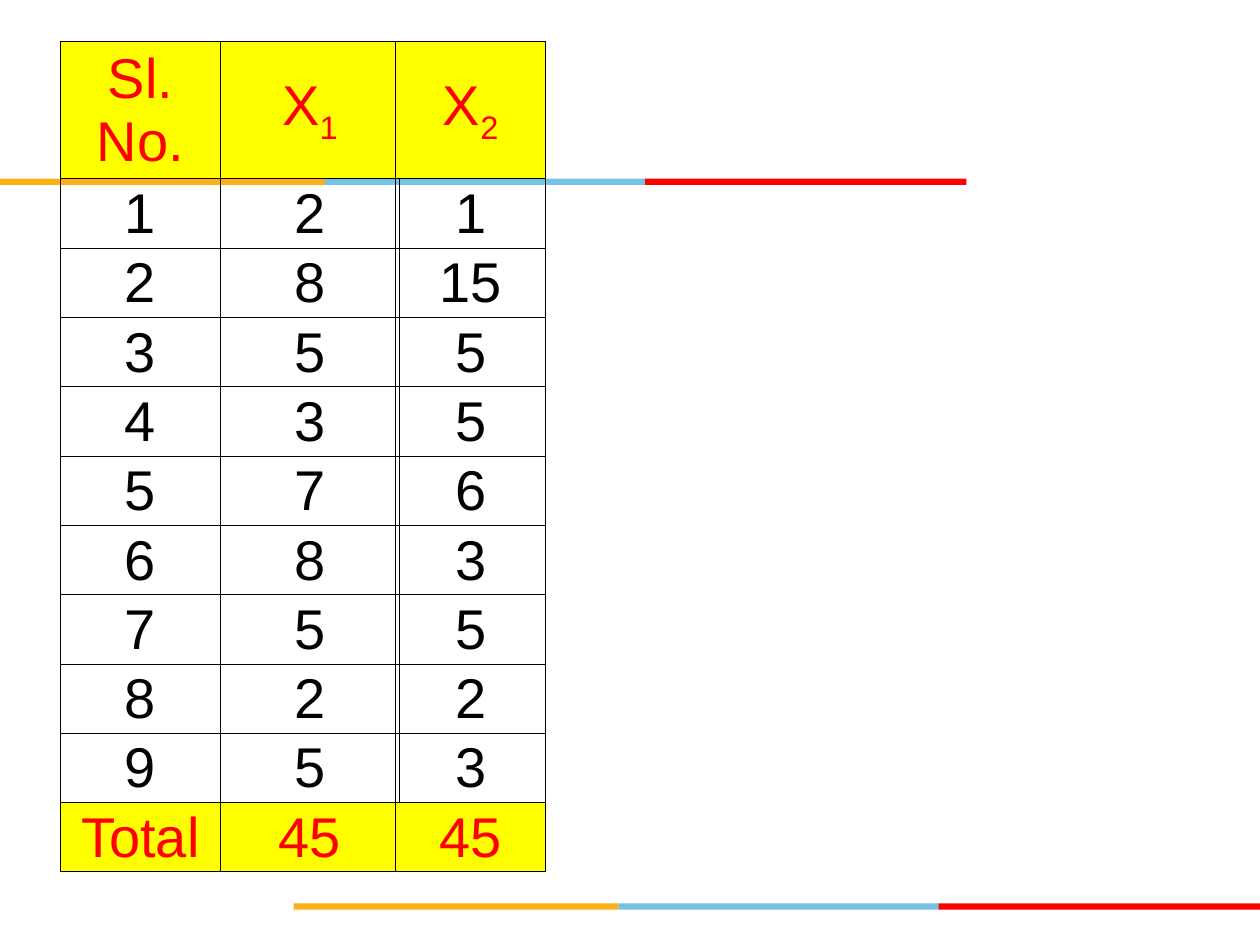
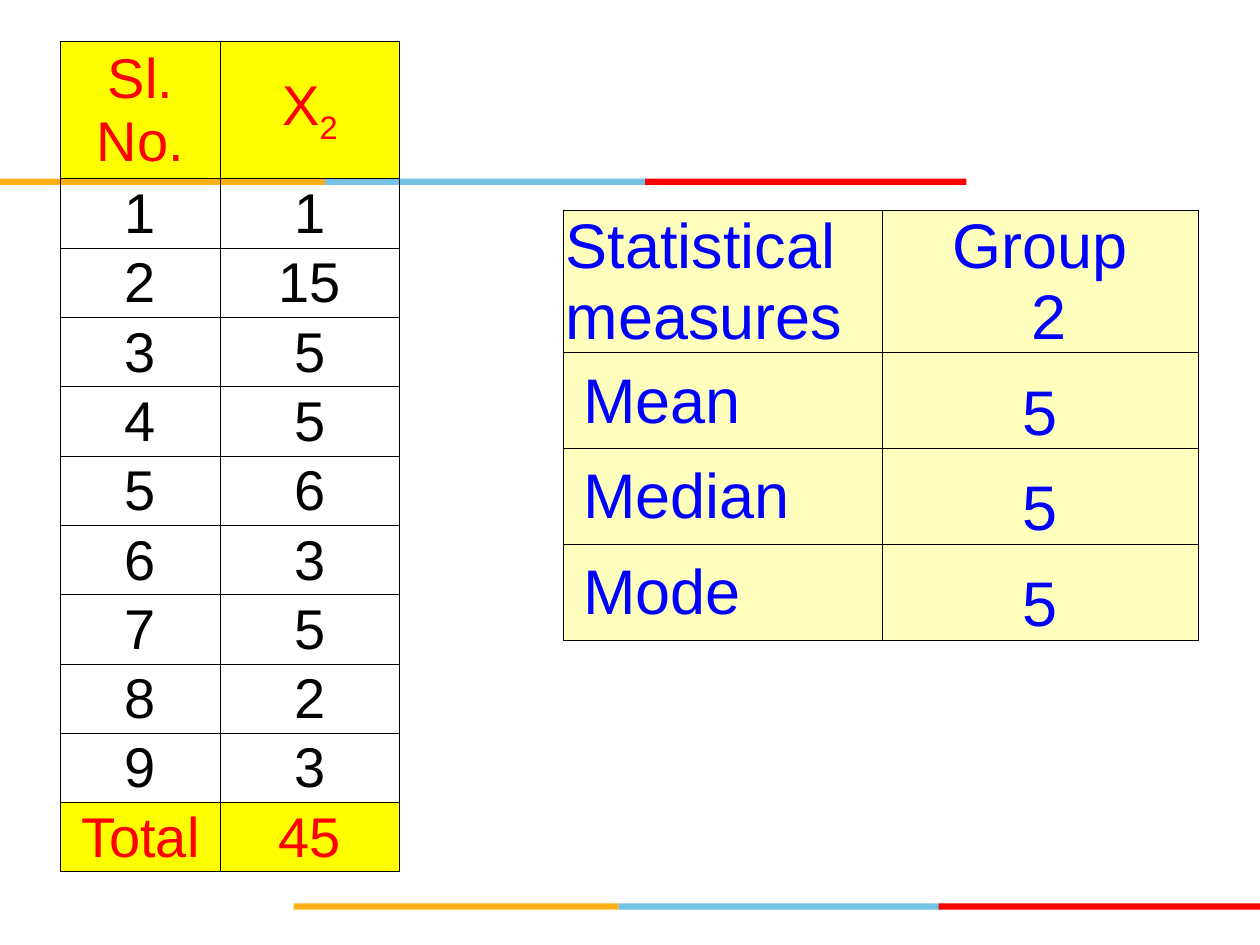
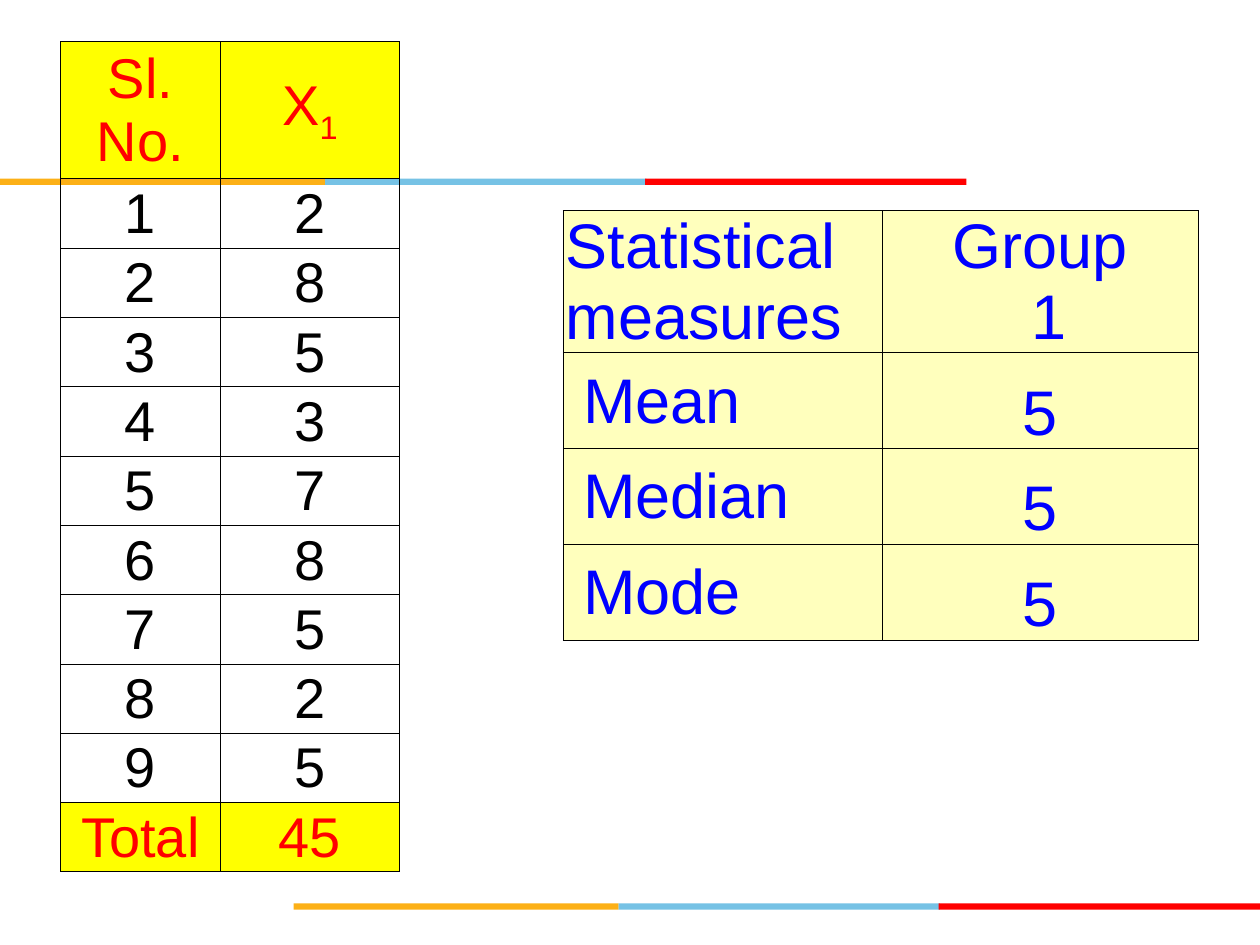
"""Builds three slides that compare two groups of values and their averages."""
from dataclasses import dataclass
from typing import Any

from lxml.etree import SubElement
from pptx import Presentation
from pptx.dml.color import RGBColor
from pptx.enum.shapes import MSO_SHAPE
from pptx.enum.text import MSO_ANCHOR, PP_ALIGN
from pptx.oxml.ns import qn
from pptx.util import Inches, Pt

FONT = "Arial"
ORANGE, SKY, RED = "FCB017", "76C2E5", "FF0000"
YELLOW, CREAM, BLUE, BLACK = "FFFF00", "FFFFBD", "0000FF", "000000"
WIDTH, HEIGHT = Inches(10), Inches(7.5)
HEAD_ROW, BODY_ROW, STAT_ROW = Inches(1.09), Inches(0.55), Inches(0.76)
TABLE_TOP = Inches(0.33)
GROUPS = {1: [2, 8, 5, 3, 7, 8, 5, 2, 5], 2: [1, 15, 5, 5, 6, 3, 5, 2, 3]}


@dataclass(frozen=True)
class Segment:
    offset: float
    width: float
    color: str


@dataclass(frozen=True)
class Band:
    left: float
    top: float


@dataclass(frozen=True)
class CellStyle:
    color: str
    size: int
    fill: str | None = None
    align: Any = PP_ALIGN.CENTER
    anchor: Any = MSO_ANCHOR.MIDDLE


SEGMENTS = [Segment(0, 0.258, ORANGE), Segment(0.258, 0.255, SKY), Segment(0.512, 0.255, RED)]
BANDS = [Band(0.233, 0.956), Band(0, 0.189)]
TOTAL = CellStyle(RED, 32, YELLOW)
VALUE = CellStyle(BLACK, 32)
MEASURE = CellStyle(BLUE, 36, CREAM, PP_ALIGN.LEFT)
RESULT = CellStyle(BLUE, 36, CREAM, anchor=MSO_ANCHOR.BOTTOM)


def rgb(color: str) -> RGBColor:
    """Turn a hex string into a colour."""
    return RGBColor.from_string(color)


def add_bands(s: Any) -> None:
    """Draw the two three-coloured bands."""
    for band in BANDS:
        for seg in SEGMENTS:
            sp = s.shapes.add_shape(
                MSO_SHAPE.RECTANGLE, int(WIDTH * (band.left + seg.offset)),
                int(HEIGHT * band.top), int(WIDTH * seg.width), Inches(0.05))
            sp.shadow.inherit = False
            sp.fill.solid()
            sp.fill.fore_color.rgb = rgb(seg.color)
            sp.line.fill.background()


def add_borders(cell: Any) -> None:
    """Give a cell thin black lines on its four sides."""
    tc_pr = cell._tc.get_or_add_tcPr()
    for side in ("lnL", "lnR", "lnT", "lnB"):
        ln = SubElement(tc_pr, qn(f"a:{side}"), w=str(Pt(0.5)))
        SubElement(SubElement(ln, qn("a:solidFill")), qn("a:srgbClr"), val=BLACK)


def fill_cell(cell: Any, text: str, style: CellStyle) -> None:
    """Write and format a cell; an underscore starts a subscript."""
    add_borders(cell)
    if style.fill:
        cell.fill.solid()
        cell.fill.fore_color.rgb = rgb(style.fill)
    else:
        cell.fill.background()
    cell.margin_left = cell.margin_right = Inches(0.02)
    cell.margin_top, cell.margin_bottom = Inches(0.01), 0
    cell.vertical_anchor = style.anchor
    base, _, sub = text.partition("_")
    tf = cell.text_frame
    tf.text = base
    if sub:
        r = tf.paragraphs[0].add_run()
        r.text = sub
        r._r.get_or_add_rPr().set("baseline", "-25000")
    for p in tf.paragraphs:
        p.alignment = style.align
        for r in p.runs:
            r.font.name, r.font.size = FONT, Pt(style.size)
            r.font.color.rgb = rgb(style.color)


def add_grid(s: Any, left: float, top: int, widths: list[float], heights: list[int],
             rows: list[list[str]], styles: list[list[CellStyle]]) -> Any:
    """Add a plain table and return its frame."""
    frame = s.shapes.add_table(len(rows), len(widths), Inches(left), top,
                               Inches(sum(widths)), sum(heights))
    table = frame.table
    table.first_row = table.horz_banding = False
    for col, width in zip(table.columns, widths):
        col.width = Inches(width)
    for row, height, texts, row_styles in zip(table.rows, heights, rows, styles):
        row.height = height
        for cell, text, style in zip(row.cells, texts, row_styles):
            fill_cell(cell, text, style)
    return frame


def data_column(group: int) -> list[str]:
    """List the heading, values and total of a group."""
    values = GROUPS[group]
    return [f"X_{group}", *map(str, values), str(sum(values))]


def add_data(s: Any, left: float, widths: list[float], columns: list[list[str]]) -> None:
    """Add a table of values with a coloured heading and total."""
    rows = [list(row) for row in zip(*columns)]
    count = len(rows) - 1
    styles = [[TOTAL if i in (0, count) else VALUE] * len(widths) for i in range(len(rows))]
    add_grid(s, left, TABLE_TOP, widths, [HEAD_ROW] + [BODY_ROW] * count, rows, styles)


def add_group(s: Any, group: int) -> None:
    """Add the numbered values of a group."""
    numbers = ["Sl. No.", *map(str, range(1, 10)), "Total"]
    add_data(s, 0.48, [1.27, 1.42], [numbers, data_column(group)])


def add_measures(s: Any, group: int) -> None:
    """Add the mean, median and mode of a group."""
    rows = [["Statistical measures", f"Group\n {group}"]]
    rows += [[f" {name}", "5"] for name in ("Mean", "Median", "Mode")]
    frame = add_grid(s, 4.47, Inches(1.67), [2.53, 2.51], [STAT_ROW] * len(rows),
                     rows, [[MEASURE, RESULT]] * len(rows))
    frame.height = Inches(3.5)


def add_slide(prs: Any) -> Any:
    """Add a blank slide with the bands."""
    s = prs.slides.add_slide(prs.slide_layouts[6])
    add_bands(s)
    return s


def main() -> None:
    """Build and save the presentation."""
    prs = Presentation()
    prs.slide_width, prs.slide_height = WIDTH, HEIGHT
    s = add_slide(prs)
    add_group(s, 1)
    add_data(s, 3.14, [1.19], [data_column(2)])
    for group in (2, 1):
        s = add_slide(prs)
        add_group(s, group)
        add_measures(s, group)
    prs.save("out.pptx")


main()
